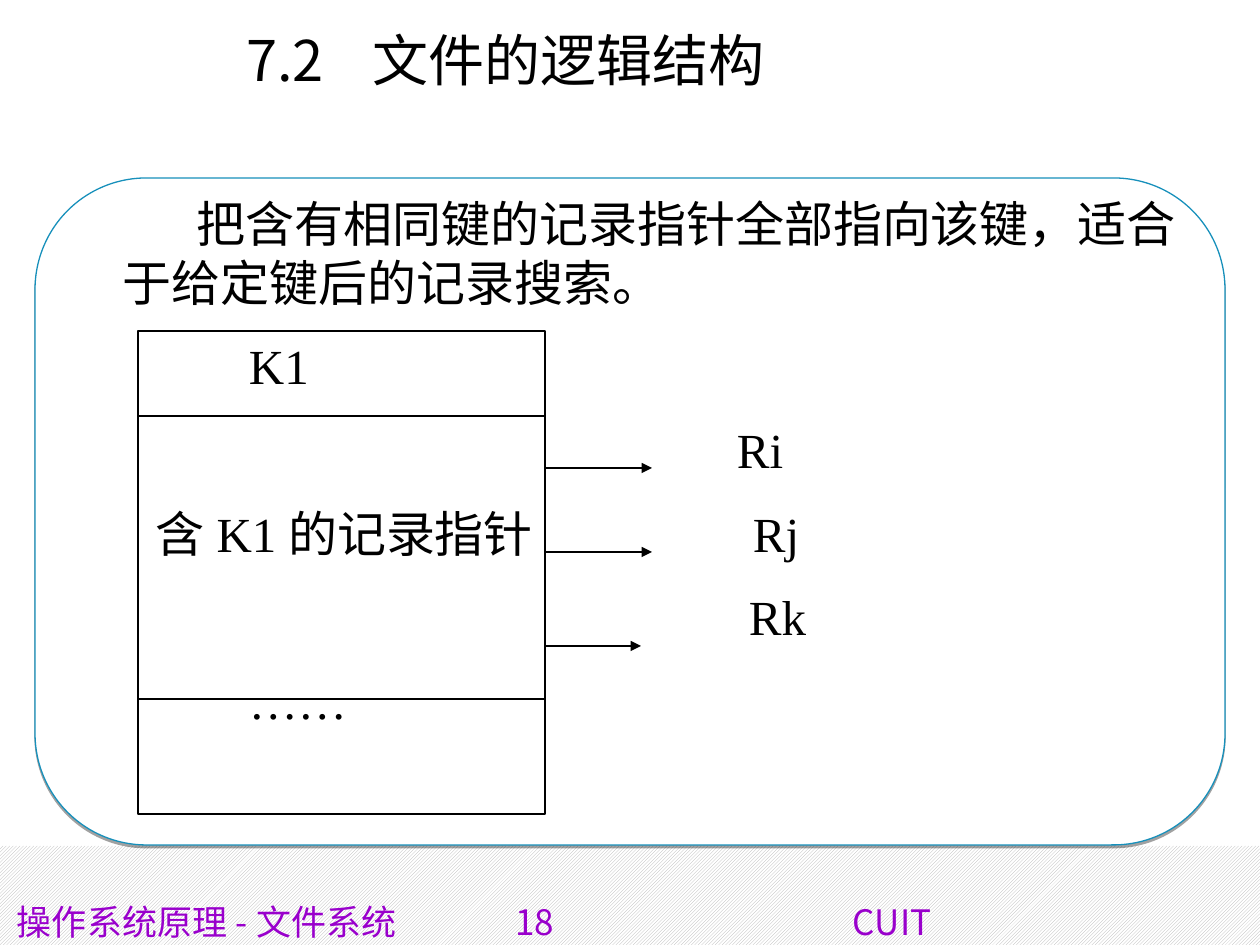
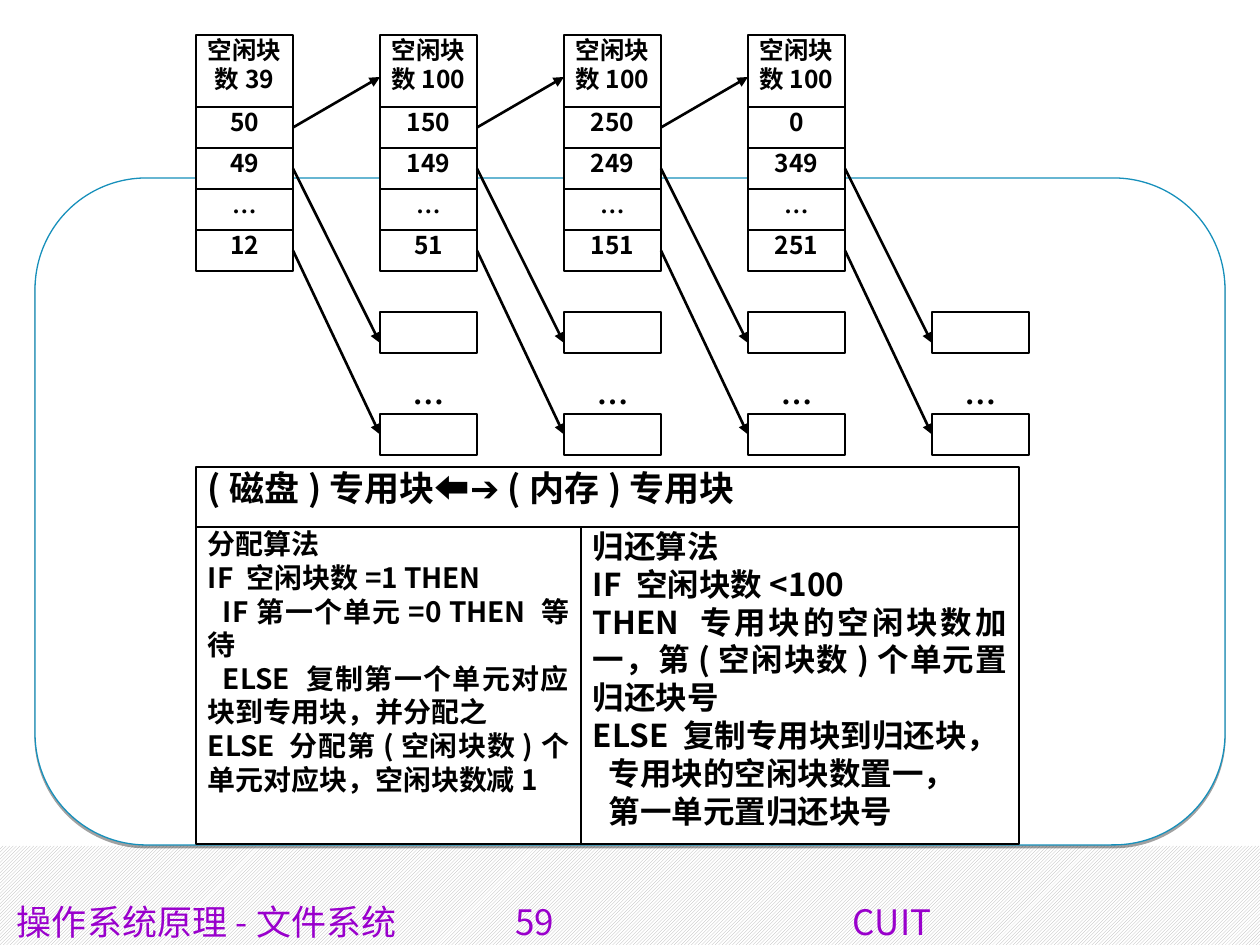
from dataclasses import dataclass
from typing import NamedTuple, Optional

from lxml.etree import SubElement
from pptx import Presentation
from pptx.dml.color import RGBColor
from pptx.enum.dml import MSO_PATTERN
from pptx.enum.shapes import MSO_CONNECTOR, MSO_SHAPE
from pptx.enum.text import MSO_ANCHOR, PP_ALIGN
from pptx.oxml.ns import qn
from pptx.shapes.autoshape import Shape
from pptx.shapes.connector import Connector
from pptx.slide import Slide
from pptx.util import Pt

SCALE = 914400 / 126
BLACK = RGBColor(0x00, 0x00, 0x00)
WHITE = RGBColor(0xFF, 0xFF, 0xFF)
GREY = RGBColor(0xB2, 0xB2, 0xB2)
BLUE = RGBColor(0x17, 0x90, 0xBB)
PURPLE = RGBColor(0x99, 0x00, 0xCC)

SANS_SC = "Noto Sans CJK SC"
SANS_KR = "Noto Sans CJK KR"
SANS_JP = "Noto Sans CJK JP"
TIMES = "Times New Roman"


class Box(NamedTuple):
    left: int
    top: int
    width: int
    height: int


class Point(NamedTuple):
    x: int
    y: int


@dataclass(frozen=True)
class Style:
    size: int
    latin: str
    asian: str
    color: RGBColor = BLACK
    bold: bool = False
    align: PP_ALIGN = PP_ALIGN.LEFT
    fixed: bool = True  # line pitch of 1.2 times the size


@dataclass(frozen=True)
class Para:
    text: str
    margin: int = 0
    indent: int = 0
    before: int = 0


@dataclass(frozen=True)
class Column:
    count: str
    blocks: tuple[str, ...]


TITLE = Style(32, SANS_SC, SANS_SC, align=PP_ALIGN.CENTER)
BODY = Style(28, TIMES, SANS_SC)
FOOTER = Style(20, SANS_SC, SANS_SC, PURPLE)
FOOTER_END = Style(20, SANS_KR, SANS_KR, PURPLE)
CELL = Style(14, SANS_JP, SANS_JP, bold=True, align=PP_ALIGN.CENTER)
CELL_DOTS = Style(14, TIMES, TIMES, bold=True, align=PP_ALIGN.CENTER, fixed=False)
BLOCK_DOTS = Style(18, TIMES, TIMES, bold=True, align=PP_ALIGN.CENTER, fixed=False)

KEY_ROWS = (
    Para("把含有相同键的记录指针全部指向该键，适合于给定键后的记录搜索。",
         margin=48, indent=74),
    Para("K1", margin=174, before=14),
    Para("含K1的记录指针", margin=81, before=62),
    Para("……", margin=174, before=62),
)
RECORDS = (
    Para("Ri", margin=25),
    Para("Rj", margin=41, before=14),
    Para("Rk", margin=37, before=14),
)

COLUMNS = (
    Column("39", ("50", "49", "…", "12")),
    Column("100", ("150", "149", "…", "51")),
    Column("100", ("250", "249", "…", "151")),
    Column("100", ("0", "349", "…", "251")),
)
COL_LEFT, COL_STEP, COL_WIDTH = 196, 184, 97
HEAD_TOP, HEAD_HIGH, ROW_HIGH = 35, 72, 41

ALLOC = (
    Para("分配算法"),
    Para("IF 空闲块数=1 THEN"),
    Para("IF第一个单元=0 THEN 等待", indent=15),
    Para("ELSE 复制第一个单元对应块到专用块，并分配之", indent=15),
    Para("ELSE 分配第(空闲块数)个单元对应块，空闲块数减1"),
)
GIVE_BACK = (
    Para("归还算法"),
    Para("IF 空闲块数<100"),
    Para("THEN 专用块的空闲块数加一，第(空闲块数)个单元置归还块号"),
    Para("ELSE 复制专用块到归还块，"),
    Para("专用块的空闲块数置一，", indent=16),
    Para("第一单元置归还块号", indent=16),
)
PANELS = (
    (Box(196, 527, 385, 317), 16, ALLOC),
    (Box(581, 527, 438, 317), 18, GIVE_BACK),
    (Box(196, 467, 823, 60), 20, (Para("(磁盘)专用块⬅➔(内存)专用块"),)),
)


def px(length: float) -> int:
    return round(length * SCALE)


def emus(box: Box) -> list[int]:
    return [px(side) for side in box]


def write(shape: Shape, paras: tuple[Para, ...], style: Style,
          side: int = 0, top: int = 0) -> None:
    """Fill the shape with top-anchored paragraphs in one style."""
    frame = shape.text_frame
    frame.word_wrap = True
    frame.vertical_anchor = MSO_ANCHOR.TOP
    frame.margin_left = frame.margin_right = px(side)
    frame.margin_top, frame.margin_bottom = px(top), 0
    for index, para in enumerate(paras):
        line = frame.add_paragraph() if index else frame.paragraphs[0]
        line.alignment = style.align
        line.space_before = Pt(para.before)
        if style.fixed:
            line.line_spacing = Pt(style.size * 1.2)
        props = line._p.get_or_add_pPr()
        props.set("marL", str(px(para.margin)))
        props.set("indent", str(px(para.indent)))
        run = line.add_run()
        run.text = para.text
        font = run.font
        font.size, font.bold = Pt(style.size), style.bold
        font.color.rgb = style.color
        font.name = style.latin
        SubElement(run._r.get_or_add_rPr(), qn("a:ea"), typeface=style.asian)


def add_text(slide: Slide, box: Box, paras: tuple[Para, ...], style: Style) -> None:
    write(slide.shapes.add_textbox(*emus(box)), paras, style, side=12, top=6)


def add_rect(slide: Slide, box: Box, weight: float = 0,
             fill: Optional[RGBColor] = WHITE, color: RGBColor = BLACK,
             kind: MSO_SHAPE = MSO_SHAPE.RECTANGLE) -> Shape:
    """Add a flat shape; a weight of 0 means no outline."""
    shape = slide.shapes.add_shape(kind, *emus(box))
    shape.shadow.inherit = False
    if fill is None:
        shape.fill.background()
    else:
        shape.fill.solid()
        shape.fill.fore_color.rgb = fill
    if weight:
        shape.line.color.rgb = color
        shape.line.width = Pt(weight)
    else:
        shape.line.fill.background()
    return shape


def add_line(slide: Slide, start: Point, end: Point, weight: float,
             arrow: bool = False) -> Connector:
    line = slide.shapes.add_connector(
        MSO_CONNECTOR.STRAIGHT, *[px(n) for n in (*start, *end)])
    line.line.color.rgb = BLACK
    line.line.width = Pt(weight)
    if arrow:
        SubElement(line.line._get_or_add_ln(), qn("a:tailEnd"), type="triangle")
    SubElement(line._element.spPr, qn("a:effectLst"))
    return line


def add_base(deck: Presentation, number: int) -> Slide:
    """Add a slide with the shared band, frame and footer."""
    slide = deck.slides.add_slide(deck.slide_layouts[6])
    band = add_rect(slide, Box(0, 846, 1260, 99))
    band.fill.patterned()
    band.fill.pattern = MSO_PATTERN.DARK_UPWARD_DIAGONAL
    band.fill.fore_color.rgb = GREY
    band.fill.back_color.rgb = WHITE

    panel = add_rect(slide, Box(35, 178, 1190, 667), 0.75, color=BLUE,
                     kind=MSO_SHAPE.ROUNDED_RECTANGLE)
    panel.adjustments[0] = 0.167
    effects = panel._element.spPr.find(qn("a:effectLst"))
    shade = SubElement(effects, qn("a:outerShdw"), blurRad="0",
                       dist=str(Pt(1.6)), dir="5400000", rotWithShape="0")
    tint = SubElement(shade, qn("a:srgbClr"), val=str(BLACK))
    SubElement(tint, qn("a:alpha"), val="37000")

    for left, width, text, style in (
            (5, 480, "操作系统原理-文件系统", FOOTER),
            (503, 120, str(number), FOOTER_END),
            (841, 200, "CUIT", FOOTER_END)):
        add_text(slide, Box(left, 895, width, 50), (Para(text),), style)
    return slide


def draw_index(deck: Presentation) -> None:
    slide = add_base(deck, 18)
    add_text(slide, Box(63, 20, 885, 156), (Para("7.2\t文件的逻辑结构"),), TITLE)
    add_text(slide, Box(63, 188, 1134, 655), KEY_ROWS, BODY)
    add_text(slide, Box(700, 414, 200, 240), RECORDS, BODY)

    left, right = 138, 545
    add_rect(slide, Box(left, 331, right - left, 483), 1, fill=None)
    for y in (416, 699):
        add_line(slide, Point(left, y), Point(right, y), 1)
    for tip in (Point(652, 468), Point(652, 552), Point(641, 646)):
        add_line(slide, Point(right, tip.y), tip, 1, arrow=True)


def add_cell(slide: Slide, box: Box, text: str) -> Shape:
    cell = add_rect(slide, box, 1.5)
    write(cell, (Para(text),), CELL_DOTS if text == "…" else CELL)
    return cell


def draw_chain(deck: Presentation) -> None:
    slide = add_base(deck, 59)
    stacks, ends = [], []
    for index in range(len(COLUMNS) + 1):
        x = COL_LEFT + index * COL_STEP
        if index:
            add_rect(slide, Box(x, 312, COL_WIDTH, ROW_HIGH), 1.5)
            ends.append(add_rect(slide, Box(x, 414, COL_WIDTH, ROW_HIGH), 1.5))
            dots = add_rect(slide, Box(x, 373, COL_WIDTH, 30))
            write(dots, (Para("…"),), BLOCK_DOTS)
        if index < len(COLUMNS):
            column = COLUMNS[index]
            add_cell(slide, Box(x, HEAD_TOP, COL_WIDTH, HEAD_HIGH),
                     f"空闲块数{column.count}")
            first = HEAD_TOP + HEAD_HIGH
            stacks.append([
                add_cell(slide, Box(x, first + row * ROW_HIGH, COL_WIDTH, ROW_HIGH), text)
                for row, text in enumerate(column.blocks)])

    # Each stack points to the next head, a first free block and a last one.
    for row, y, tip in ((0, 127, 77), (1, 169, 343), (3, 251, 435)):
        for index, stack in enumerate(stacks):
            if row == 0 and index == len(stacks) - 1:
                continue
            x = COL_LEFT + index * COL_STEP
            arrow = add_line(slide, Point(x + COL_WIDTH, y),
                             Point(x + COL_STEP, tip), 1.5, arrow=True)
            arrow.begin_connect(stack[row], 3)
            if row == 3:
                arrow.end_connect(ends[index], 1)

    for box, size, paras in PANELS:
        style = Style(size, SANS_JP, SANS_JP, bold=True, align=PP_ALIGN.JUSTIFY)
        write(add_rect(slide, box, 0.75), paras, style, side=12)


def main() -> None:
    deck = Presentation()
    deck.slide_width, deck.slide_height = px(1260), px(945)
    draw_index(deck)
    draw_chain(deck)
    deck.save("out.pptx")


if __name__ == "__main__":
    main()
